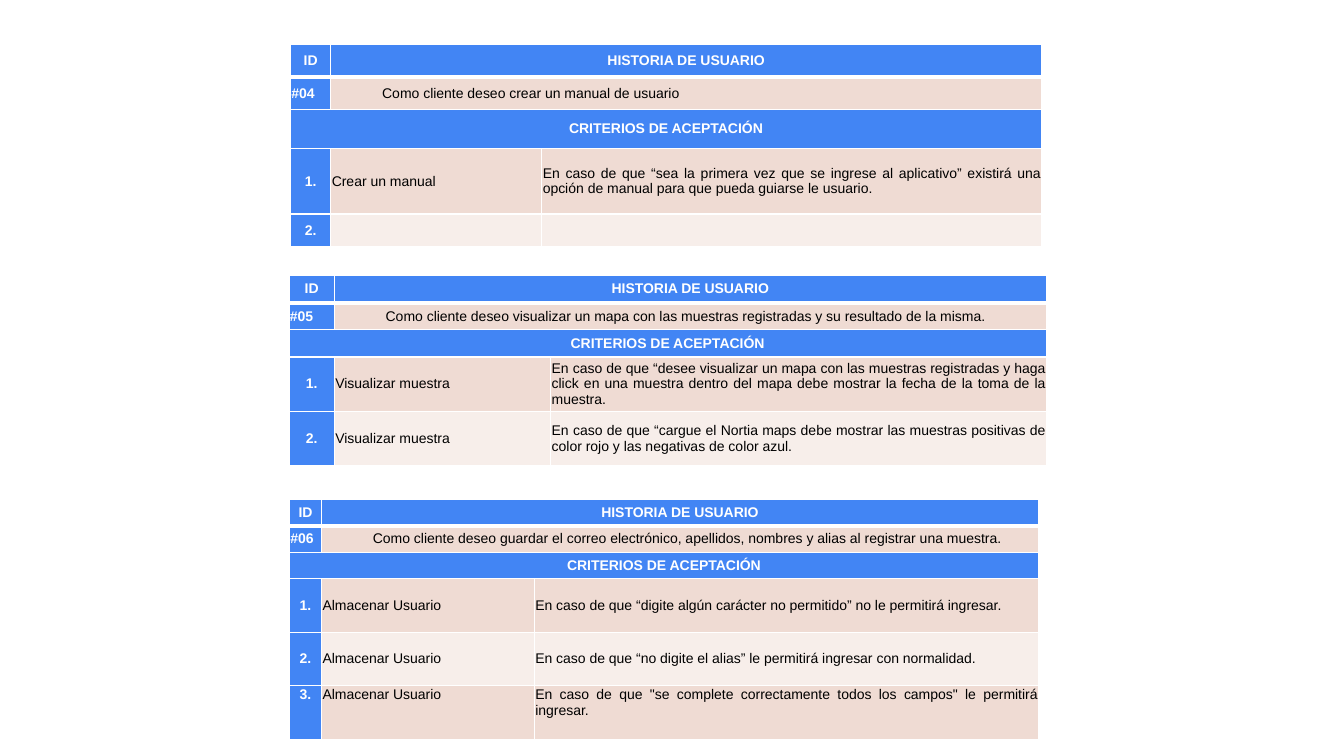
from dataclasses import dataclass

from lxml import etree
from pptx import Presentation
from pptx.dml.color import RGBColor
from pptx.enum.text import MSO_ANCHOR, PP_ALIGN
from pptx.oxml.ns import qn
from pptx.util import Pt

LEFT, CENTER, JUSTIFY = PP_ALIGN.LEFT, PP_ALIGN.CENTER, PP_ALIGN.JUSTIFY
TOP, MIDDLE = MSO_ANCHOR.TOP, MSO_ANCHOR.MIDDLE

COLORS = {
    "header": "4285F4",
    "band_dark": "EFDBD3",
    "band_light": "F7EEEA",
    "white": "FFFFFF",
    "black": "000000",
}
FONT, FONT_SIZE = "Arial", 10
CELL_MARGIN = 0.72
STORY_INDENT = 36
THIN, THICK = 1, 3
HEADER_ROWS = 3  # titles, story, criteria heading


@dataclass
class Criterion:
    name: str
    detail: str
    anchor: MSO_ANCHOR = MIDDLE


@dataclass
class Story:
    number: str
    text: str
    left: float
    top: float
    columns: list[float]
    rows: list[float]
    criteria: list[Criterion]
    name_align: PP_ALIGN = LEFT


STORIES = [
    Story(
        "#04", "Como cliente deseo crear un manual de usuario",
        207.5, 31.9, [28.8, 150.7, 356.9], [23.2, 23.2, 28, 46.6, 23],
        [
            Criterion("Crear un manual",
                      "En caso de que “sea la primera vez que se ingrese al aplicativo” existirá "
                      "una opción de manual para que pueda guiarse le usuario."),
            Criterion("", ""),
        ],
    ),
    Story(
        "#05",
        "Como cliente deseo visualizar un mapa con las muestras registradas y su resultado "
        "de la misma.",
        206.4, 196.8, [32.4, 154.6, 353.9], [19.4, 19.4, 19.4, 38.9, 38.9],
        [
            Criterion("Visualizar muestra",
                      "En caso de que “desee visualizar un mapa con las muestras registradas y "
                      "haga click en una muestra dentro del mapa debe mostrar la fecha de la toma "
                      "de la muestra."),
            Criterion("Visualizar muestra",
                      "En caso de que “cargue el Nortia maps debe mostrar las muestras positivas "
                      "de color rojo y las negativas de color azul."),
        ],
    ),
    Story(
        "#06",
        "Como cliente deseo guardar el correo electrónico, apellidos, nombres y alias al "
        "registrar una muestra.",
        206.8, 356.9, [22.9, 152, 360], [18.8, 18.8, 18.8, 38.3, 38.3, 38.3],
        [
            Criterion("Almacenar Usuario",
                      "En caso de que “digite algún carácter no permitido” no le permitirá "
                      "ingresar."),
            Criterion("Almacenar Usuario",
                      "En caso de que “no digite el alias” le permitirá ingresar con normalidad."),
            Criterion("Almacenar Usuario",
                      'En caso de que "se complete correctamente todos los campos" le permitirá '
                      "ingresar.", TOP),
        ],
        JUSTIFY,
    ),
]


def add_border(cell, side: str, width: float) -> None:
    line = etree.SubElement(cell._tc.get_or_add_tcPr(), qn(f"a:ln{side}"), w=str(Pt(width)))
    fill = etree.SubElement(line, qn("a:solidFill"))
    etree.SubElement(fill, qn("a:srgbClr"), val=COLORS["white"])


def style_cell(cell, row: int, column: int) -> None:
    """Borders and fill follow from the place of the cell in the table."""
    widths = {"L": THIN, "R": THIN,
              "T": THICK if row == 1 else THIN,
              "B": THICK if row == 0 else THIN}
    for side, width in widths.items():
        add_border(cell, side, width)
    if column == 0 or row in (0, 2):
        color = "header"
    else:
        color = "band_dark" if row % 2 else "band_light"
    cell.fill.solid()
    cell.fill.fore_color.rgb = RGBColor.from_string(COLORS[color])
    cell.margin_left = cell.margin_right = Pt(CELL_MARGIN)
    cell.margin_top = cell.margin_bottom = Pt(CELL_MARGIN)


def write(cell, text: str, align: PP_ALIGN, heading: bool = False,
          anchor: MSO_ANCHOR = MIDDLE, indent: float = 0) -> None:
    if not text:
        return
    cell.vertical_anchor = anchor
    para = cell.text_frame.paragraphs[0]
    para.alignment = align
    if indent:
        para._p.get_or_add_pPr().set("marL", str(Pt(indent)))
    span = para.add_run()
    span.text = text
    span.font.name = FONT
    span.font.size = Pt(FONT_SIZE)
    span.font.bold = heading
    span.font.color.rgb = RGBColor.from_string(COLORS["white" if heading else "black"])


def add_story(page, story: Story) -> None:
    frame = page.shapes.add_table(
        len(story.rows), len(story.columns), Pt(story.left), Pt(story.top),
        Pt(sum(story.columns)), Pt(sum(story.rows)))
    table = frame.table
    table.first_row = table.horz_banding = False
    for column, width in zip(table.columns, story.columns):
        column.width = Pt(width)
    for row, height in zip(table.rows, story.rows):
        row.height = Pt(height)
    for row in range(len(story.rows)):
        for column in range(len(story.columns)):
            style_cell(table.cell(row, column), row, column)

    # Headings and story
    for row, first in ((0, 1), (1, 1), (2, 0)):
        table.cell(row, first).merge(table.cell(row, 2))
    write(table.cell(0, 0), "ID", CENTER, heading=True)
    write(table.cell(0, 1), "HISTORIA DE USUARIO", CENTER, heading=True)
    write(table.cell(1, 0), story.number, JUSTIFY, heading=True)
    write(table.cell(1, 1), story.text, LEFT, indent=STORY_INDENT)
    write(table.cell(2, 0), "CRITERIOS DE ACEPTACIÓN", CENTER, heading=True)

    # Numbered acceptance criteria
    for number, criterion in enumerate(story.criteria, start=1):
        row = HEADER_ROWS + number - 1
        write(table.cell(row, 0), f"{number}.", CENTER, heading=True, anchor=criterion.anchor)
        write(table.cell(row, 1), criterion.name, story.name_align, anchor=criterion.anchor)
        write(table.cell(row, 2), criterion.detail, JUSTIFY, anchor=criterion.anchor)


def main() -> None:
    deck = Presentation()
    deck.slide_width, deck.slide_height = Pt(960), Pt(540)
    page = deck.slides.add_slide(deck.slide_layouts[6])
    for story in STORIES:
        add_story(page, story)
    deck.save("out.pptx")


if __name__ == "__main__":
    main()
